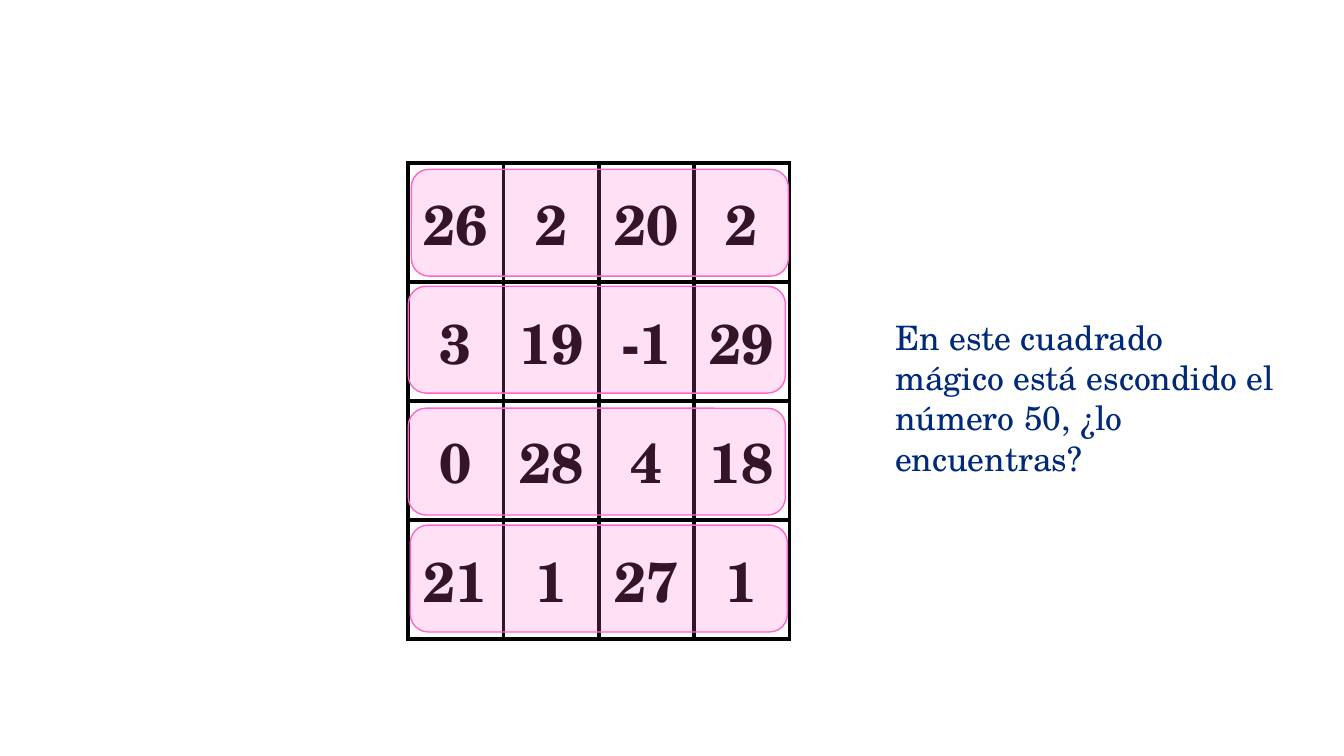
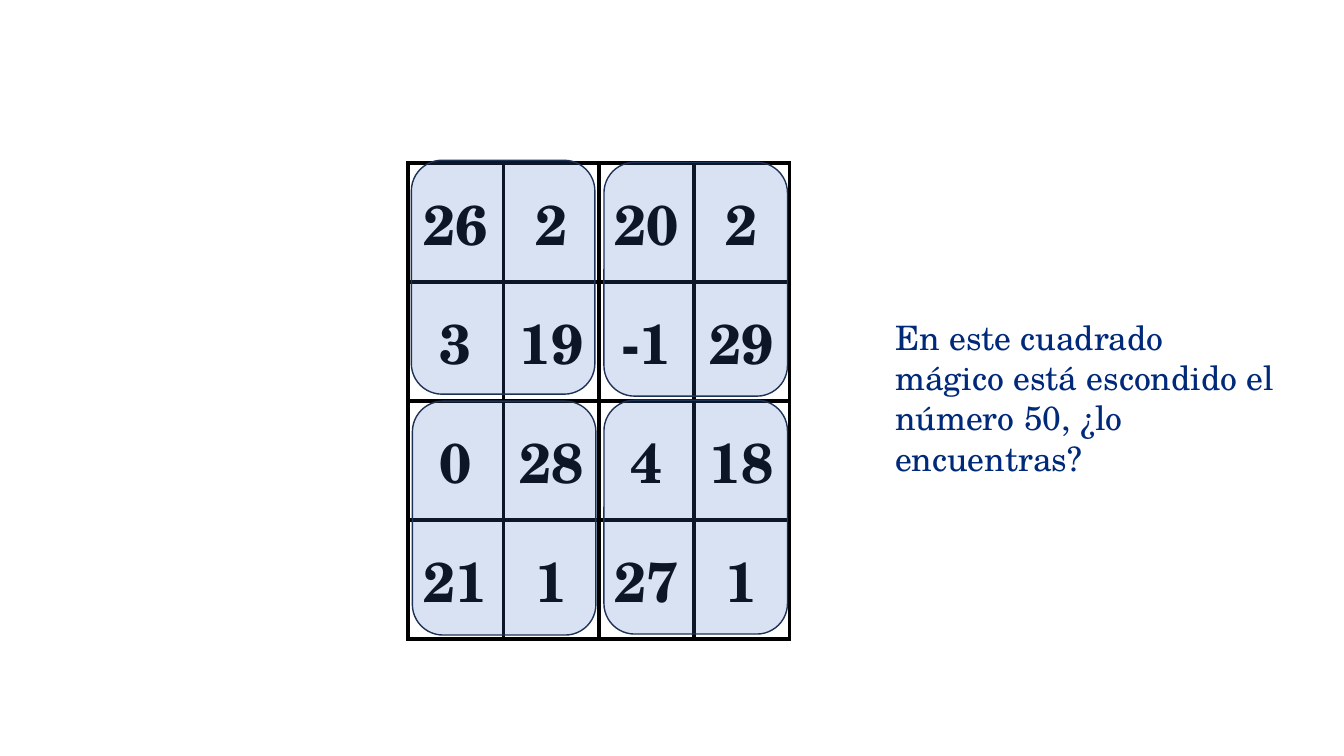
from dataclasses import dataclass

from lxml import etree
from pptx import Presentation
from pptx.dml.color import RGBColor
from pptx.enum.shapes import MSO_SHAPE
from pptx.enum.text import MSO_ANCHOR, MSO_AUTO_SIZE, PP_ALIGN
from pptx.oxml.ns import qn
from pptx.slide import Slide
from pptx.table import _Cell
from pptx.text.text import Font
from pptx.util import Inches, Pt

ROUNDED = MSO_SHAPE.ROUNDED_RECTANGLE
MIDDLE = MSO_ANCHOR.MIDDLE
CENTER = PP_ALIGN.CENTER
GROW = MSO_AUTO_SIZE.SHAPE_TO_FIT_TEXT

FONT_NAME = "TeX Gyre Schola"
COLORS = {
    "white": "FFFFFF",
    "grid": "000000",
    "question": "00297A",
    "pink": "FF66CC",
    "blue": "4472C4",
    "navy": "1E3256",
}
SQUARE = [
    [26, 2, 20, 2],
    [3, 19, -1, 29],
    [0, 28, 4, 18],
    [21, 1, 27, 1],
]
QUESTION = "En este cuadrado mágico está escondido el número 50, ¿lo encuentras?"
GRID_LEFT, GRID_TOP, GRID_WIDTH, GRID_HEIGHT = 4.05, 1.62, 3.78, 4.72


@dataclass(frozen=True)
class Solution:
    """Groups of cells adding up to 50, marked with equal translucent shapes."""
    fill: str
    outline: str
    width: float
    height: float
    corners: tuple[tuple[float, float], ...]


SOLUTIONS = (
    Solution("pink", "pink", 3.74, 1.06,
             ((4.08, 1.68), (4.05, 2.84), (4.05, 4.05), (4.07, 5.21))),
    Solution("blue", "navy", 1.82, 2.32,
             ((4.08, 1.59), (5.99, 1.61), (4.09, 3.98), (5.99, 3.97))),
)


def rgb(name: str) -> RGBColor:
    return RGBColor.from_string(COLORS[name])


def style_font(font: Font, size: float, color: str, bold: bool = False) -> None:
    font.name = FONT_NAME
    font.size = Pt(size)
    font.bold = bold
    font.color.rgb = rgb(color)


def add_borders(cell: _Cell) -> None:
    properties = cell._tc.get_or_add_tcPr()
    for side in ("a:lnL", "a:lnR", "a:lnT", "a:lnB"):
        border = etree.SubElement(properties, qn(side), w=str(Pt(3)))
        solid = etree.SubElement(border, qn("a:solidFill"))
        etree.SubElement(solid, qn("a:srgbClr"), val=COLORS["grid"])


def add_magic_square(slide: Slide) -> None:
    size = len(SQUARE)
    table = slide.shapes.add_table(
        size, size, Inches(GRID_LEFT), Inches(GRID_TOP),
        Inches(GRID_WIDTH), Inches(GRID_HEIGHT)).table
    table.first_row = False
    table.horz_banding = False
    for row, numbers in enumerate(SQUARE):
        for column, number in enumerate(numbers):
            cell = table.cell(row, column)
            add_borders(cell)
            cell.fill.background()
            cell.vertical_anchor = MIDDLE
            paragraph = cell.text_frame.paragraphs[0]
            paragraph.text = str(number)
            paragraph.alignment = CENTER
            style_font(paragraph.runs[0].font, 40, "grid", bold=True)


def add_solution(slide: Slide, solution: Solution) -> None:
    for left, top in solution.corners:
        group = slide.shapes.add_shape(
            ROUNDED, Inches(left), Inches(top),
            Inches(solution.width), Inches(solution.height))
        group.shadow.inherit = False
        group.fill.solid()
        group.fill.fore_color.rgb = rgb(solution.fill)
        color = group._element.spPr.find(qn("a:solidFill"))[0]
        etree.SubElement(color, qn("a:alpha"), val="20000")
        group.line.color.rgb = rgb(solution.outline)
        group.line.width = Pt(1)


def add_question(slide: Slide) -> None:
    frame = slide.shapes.add_textbox(
        Inches(8.78), Inches(3.09), Inches(4.02), Inches(1.31)).text_frame
    frame.word_wrap = True
    frame.auto_size = GROW
    frame.text = QUESTION
    style_font(frame.paragraphs[0].runs[0].font, 24, "question")


def main() -> None:
    deck = Presentation()
    deck.slide_width = Inches(13.33)
    deck.slide_height = Inches(7.5)
    blank = deck.slide_layouts[6]
    for solution in SOLUTIONS:
        slide = deck.slides.add_slide(blank)
        slide.background.fill.solid()
        slide.background.fill.fore_color.rgb = rgb("white")
        add_magic_square(slide)
        add_solution(slide, solution)
        add_question(slide)
    deck.save("out.pptx")


if __name__ == "__main__":
    main()
